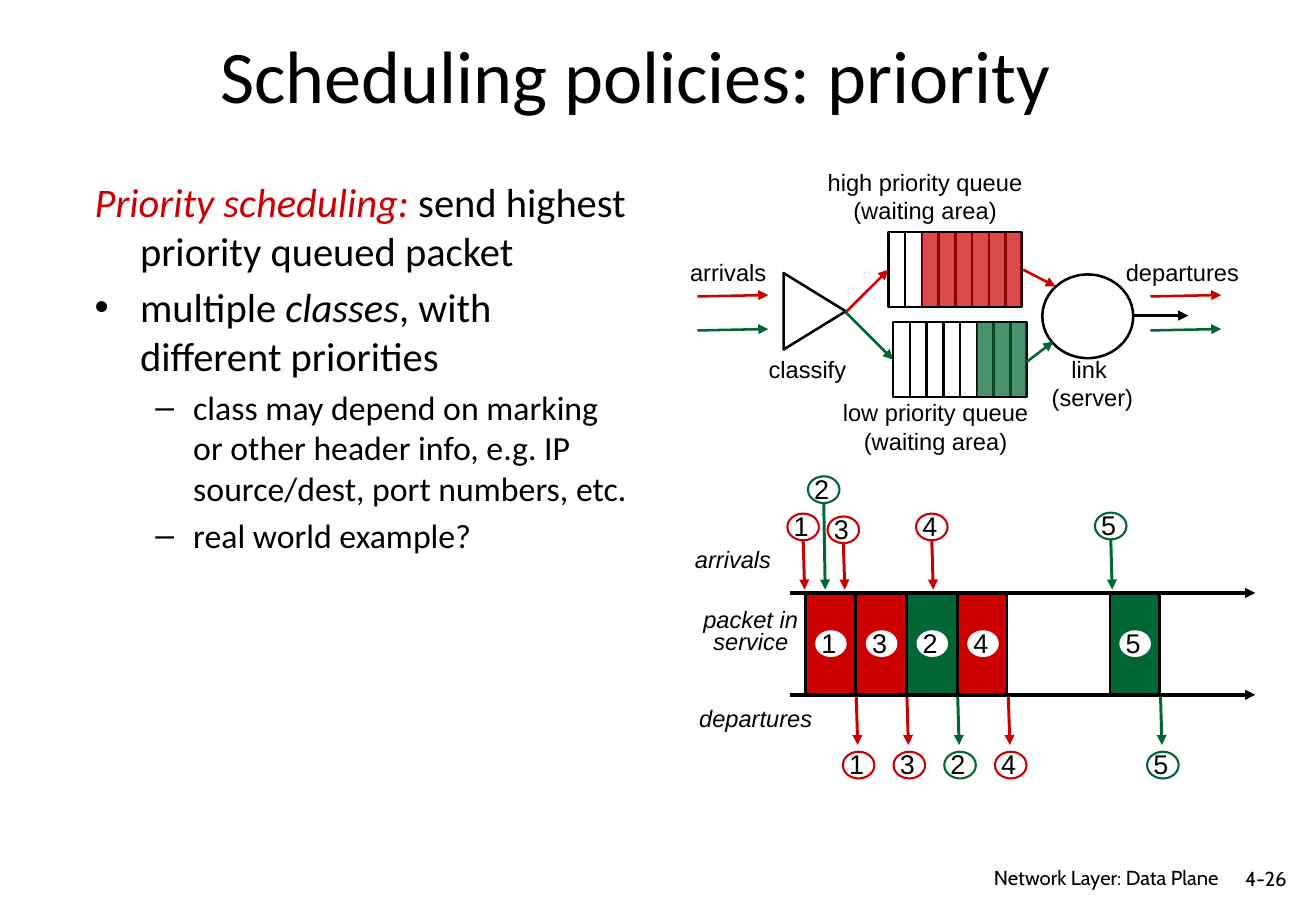
import pptx
import pptx.util
import pptx.dml.color
import pptx.enum.shapes
import pptx.enum.text
import pptx.oxml
import pptx.oxml.ns

Cm, Pt = pptx.util.Cm, pptx.util.Pt
SHAPE = pptx.enum.shapes.MSO_SHAPE
ALIGN = pptx.enum.text.PP_ALIGN
ANCHOR = pptx.enum.text.MSO_ANCHOR
COLORS = {"black": "000000", "white": "FFFFFF", "red": "CC0000", "green": "006633"}


def rgb(name):
    return pptx.dml.color.RGBColor.from_string(COLORS[name])


def add_xml(parent, tag, **attrs):
    el = pptx.oxml.parse_xml("<a:%s %s/>" % (tag, pptx.oxml.ns.nsdecls("a")))
    for key, value in attrs.items():
        el.set(key, str(value))
    parent.append(el)


def format_run(r, size, font, color="black", italic=False):
    r.font.size, r.font.name = Pt(size), font
    r.font.italic = italic
    r.font.color.rgb = rgb(color)


def add_text(s, x, y, w, h, text, size=14, font="Arial", align=ALIGN.CENTER,
             anchor=ANCHOR.TOP, italic=False, wrap=False, spacing=None):
    tb = s.shapes.add_textbox(Cm(x), Cm(y), Cm(w), Cm(h))
    tf = tb.text_frame
    tf.word_wrap, tf.vertical_anchor = wrap, anchor
    tf.text = text
    for p in tf.paragraphs:
        p.alignment = align
        if spacing:
            p.line_spacing = Pt(spacing)
        for r in p.runs:
            format_run(r, size, font, italic=italic)


def add_shape(s, kind, x, y, w, h, fill=None, line=None, width=1.5, alpha=None):
    sp = s.shapes.add_shape(kind, Cm(x), Cm(y), Cm(w), Cm(h))
    sp.shadow.inherit = False
    if fill:
        sp.fill.solid()
        sp.fill.fore_color.rgb = rgb(fill)
        if alpha:
            clr = sp._element.spPr.find(".//" + pptx.oxml.ns.qn("a:srgbClr"))
            add_xml(clr, "alpha", val=alpha * 1000)
    else:
        sp.fill.background()
    if line:
        sp.line.color.rgb = rgb(line)
        sp.line.width = Pt(width)
    else:
        sp.line.fill.background()
    return sp


def add_line(s, x1, y1, x2, y2, color="black", width=1.5, arrow=True):
    c = s.shapes.add_connector(pptx.enum.shapes.MSO_CONNECTOR.STRAIGHT,
                               Cm(x1), Cm(y1), Cm(x2), Cm(y2))
    c.line.color.rgb = rgb(color)
    c.line.width = Pt(width)
    if arrow:
        add_xml(c.line._get_or_add_ln(), "tailEnd", type="triangle")
    add_xml(c._element.spPr, "effectLst")


def add_body(s, x, y, w, h):
    """Left column: each paragraph is (bullet, indent, hanging, size, runs)."""
    paragraphs = [
        (None, 0.95, 0.95, 24, [("Priority scheduling: ", "red", True),
                                ("send highest priority queued packet", "black", False)]),
        ("•", 0.95, 0.95, 24, [("multiple ", "black", False), ("classes", "black", True),
                               (", with different priorities", "black", False)]),
        ("–", 2.06, 0.79, 20, [("class may depend on marking or other header info, e.g. IP "
                                "source/dest, port numbers, etc.", "black", False)]),
        ("–", 2.06, 0.79, 20, [("real world example?", "black", False)]),
    ]
    tf = s.shapes.add_textbox(Cm(x), Cm(y), Cm(w), Cm(h)).text_frame
    tf.word_wrap = True
    for i, (bullet, indent, hanging, size, runs) in enumerate(paragraphs):
        p = tf.add_paragraph() if i else tf.paragraphs[0]
        p.space_before = Pt(size * 0.2)
        pPr = p._p.get_or_add_pPr()
        pPr.set("marL", str(Cm(indent)))
        pPr.set("indent", str(-Cm(hanging)))
        if bullet:
            add_xml(pPr, "buFont", typeface="Arial")
            add_xml(pPr, "buChar", char=bullet)
        for text, color, italic in runs:
            r = p.add_run()
            r.text = text
            format_run(r, size, "Calibri", color, italic)


def add_queue(s, x, y, color, free_slots):
    w, h, slot = 2.79, 1.57, 0.35
    add_shape(s, SHAPE.RECTANGLE, x, y, w, h, line="black")
    for i in range(1, 8):
        add_line(s, x + i * slot, y + 0.02, x + i * slot, y + h, arrow=False)
    used = free_slots * slot
    add_shape(s, SHAPE.RECTANGLE, x + used, y + 0.02, w - used, h - 0.04, color, alpha=71)


def add_queue_diagram(s, x, y):
    # Queues, classifier and server
    add_queue(s, x + 4.67, y + 3.43, "green", 5)
    add_queue(s, x + 4.57, y + 1.55, "red", 2)
    add_shape(s, SHAPE.ISOSCELES_TRIANGLE, x + 2.23, y + 2.56, 1.6, 1.3, line="black").rotation = 90
    add_shape(s, SHAPE.OVAL, x + 7.79, y + 2.44, 1.9, 1.75, line="black")
    # Packet flow
    for x1, y1, x2, y2, color in [
            (3.68, 3.23, 4.57, 2.34, "red"), (3.68, 3.23, 4.67, 4.22, "green"),
            (7.39, 2.34, 8.07, 2.69, "red"), (7.46, 4.27, 8.02, 3.84, "green"),
            (9.67, 3.3, 10.84, 3.3, "black")]:
        add_line(s, x + x1, y + y1, x + x2, y + y2, color)
    for left in (0.58, 10.05):
        for top, color in ((2.9, "red"), (3.61, "green")):
            add_line(s, x + left, y + top, x + left + 1.48, y + top - 0.03, color)
    # Labels
    for left, top, w, h, text in [
            (3.04, 0.08, 4.6, 1.45, "high priority queue\n(waiting area)"),
            (3.35, 4.9, 4.42, 1.45, "low priority queue\n(waiting area)"),
            (0.17, 1.96, 2.11, 0.86, "arrivals"), (1.8, 3.99, 2.16, 0.86, "classify"),
            (9.27, 1.96, 2.9, 0.86, "departures"), (7.59, 3.99, 2.36, 1.45, "link\n (server)")]:
        add_text(s, x + left, y + top, w, h, text)


def add_badge(s, x, y, number, line=None):
    add_shape(s, SHAPE.OVAL, x, y, 0.66, 0.56, "white", line, 1.25)
    add_text(s, x - 0.12, y - 0.21, 0.84, 0.94, str(number), 16, align=ALIGN.LEFT)


def add_timeline(s, x, y):
    slot = 1.06
    packet_color = {1: "red", 2: "green", 3: "red", 4: "red", 5: "green"}
    # Time axes
    for top in (2.7, 4.83):
        add_line(s, x + 2.51, y + top, x + 12.24, y + top, width=2)
    # Packets in service and their departures: (packet, time slot)
    for n, t in [(1, 0), (3, 1), (2, 2), (4, 3), (5, 6)]:
        color, left = packet_color[n], x + 2.84 + t * slot
        end = left + slot
        add_shape(s, SHAPE.RECTANGLE, left, y + 2.72, 1.04, 2.1, color, "black", 1.25)
        add_badge(s, left + 0.2, y + 3.48, n)
        add_line(s, end, y + 4.87, end + 0.03, y + 5.88, color, 1.75)
        add_badge(s, end - 0.28, y + 6.02, n, color)
    # Arrivals: (packet, left, top)
    for n, left, top in [(5, 8.89, 1.02), (2, 2.89, 0.26), (1, 2.46, 1.04),
                         (3, 3.3, 1.1), (4, 5.15, 1.04)]:
        mid = x + left + 0.33
        add_line(s, mid, y + top + 0.56, mid + 0.03, y + 2.63, packet_color[n], 1.75)
        add_badge(s, x + left, y + top, n, packet_color[n])
    # Labels
    add_text(s, x + 0.27, y + 1.58, 2.11, 0.86, "arrivals", italic=True)
    add_text(s, x + 0.35, y + 4.9, 2.9, 0.86, "departures", italic=True)
    add_text(s, x + 0.4, y + 2.97, 2.59, 1.19, "packet in service",
             italic=True, wrap=True, spacing=12.8)


def main():
    prs = pptx.Presentation()
    prs.slide_width, prs.slide_height = Cm(27.51), Cm(19.05)
    s = prs.slides.add_slide(prs.slide_layouts[6])
    # Title and body
    add_text(s, 1.6, -0.05, 23.39, 3.18, "Scheduling policies: priority", 44, "Calibri",
             anchor=ANCHOR.MIDDLE, wrap=True)
    add_body(s, 1.73, 3.58, 11.63, 14.17)
    # Diagrams
    add_queue_diagram(s, 14, 3.3)
    add_timeline(s, 14, 9.7)
    # Footer
    add_text(s, 19.18, 17.98, 6.55, 0.66, "Network Layer: Data Plane", 12, "Cabin",
             ALIGN.RIGHT, wrap=True)
    add_text(s, 25.45, 17.98, 1.7, 0.76, "4-26", 12, "Cabin", ALIGN.RIGHT,
             ANCHOR.MIDDLE, wrap=True)
    prs.save("out.pptx")


if __name__ == "__main__":
    main()
